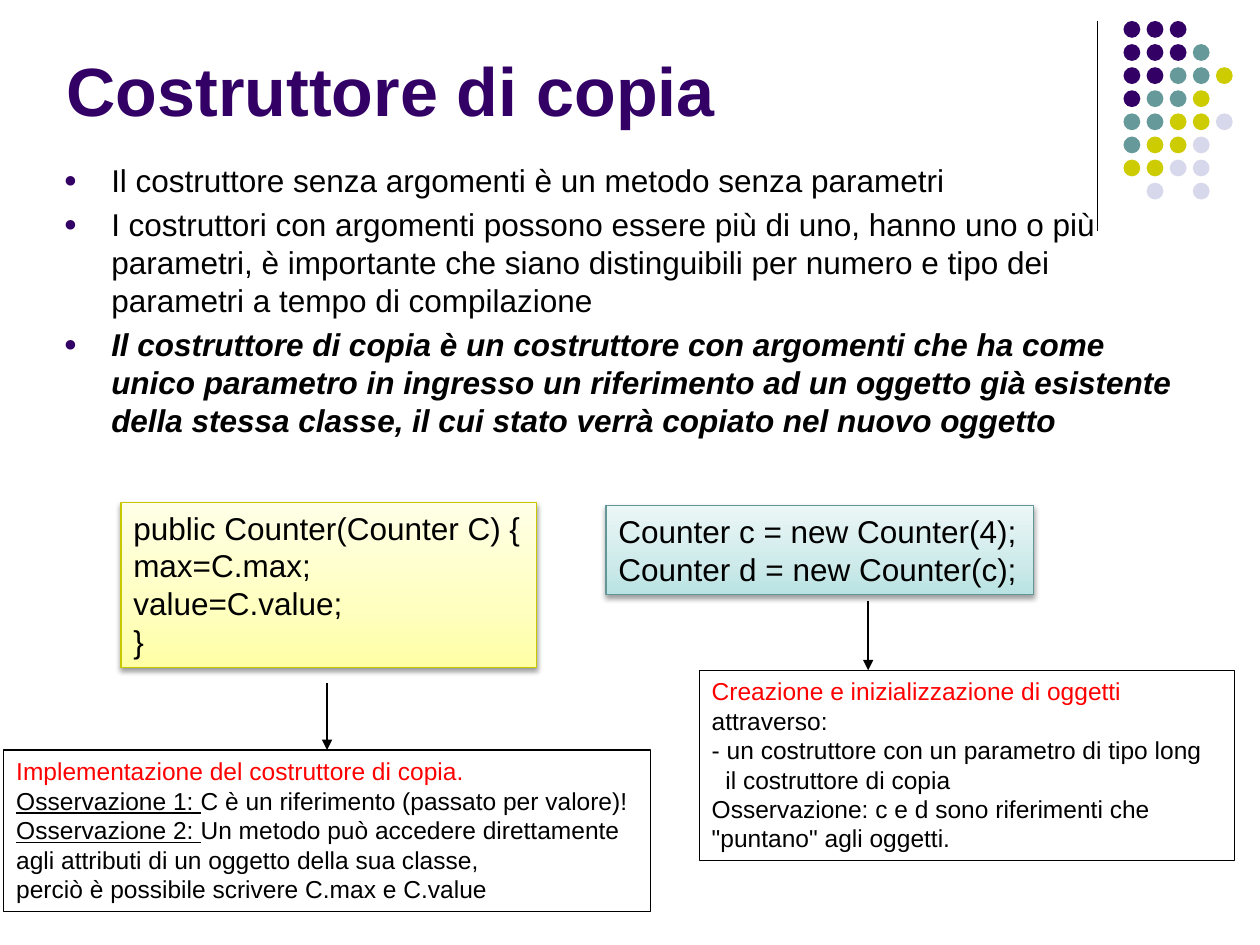
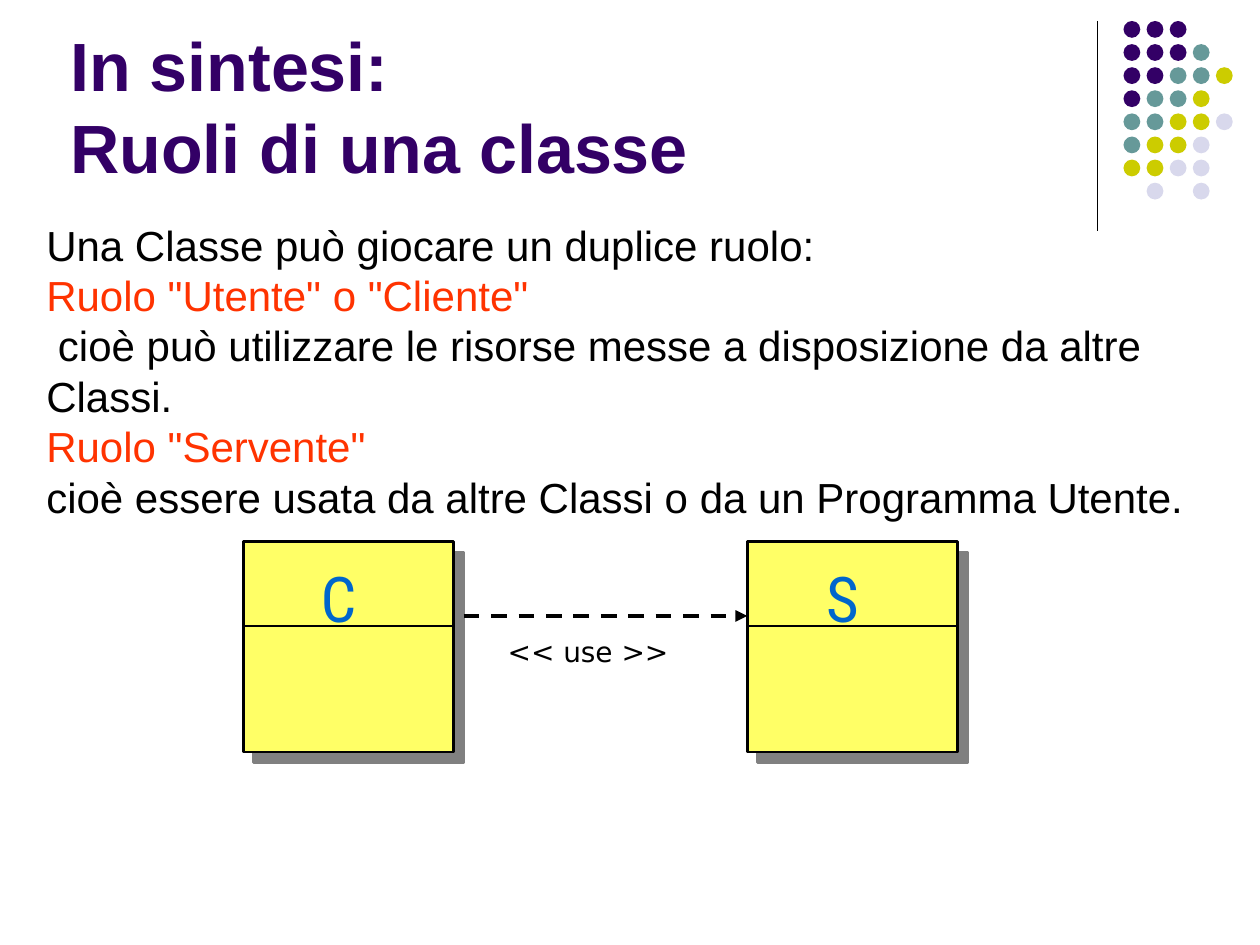
from lxml import etree
from pptx import Presentation
from pptx.dml.color import RGBColor
from pptx.enum.dml import MSO_LINE
from pptx.enum.shapes import MSO_CONNECTOR, MSO_SHAPE
from pptx.enum.text import MSO_ANCHOR, MSO_AUTO_SIZE, PP_ALIGN
from pptx.oxml.ns import qn
from pptx.util import Pt

RECTANGLE, OVAL = MSO_SHAPE.RECTANGLE, MSO_SHAPE.OVAL
STRAIGHT = MSO_CONNECTOR.STRAIGHT
DASH = MSO_LINE.DASH
TOP, BOTTOM = MSO_ANCHOR.TOP, MSO_ANCHOR.BOTTOM
LEFT, CENTER = PP_ALIGN.LEFT, PP_ALIGN.CENTER
GROW, FIXED = MSO_AUTO_SIZE.SHAPE_TO_FIT_TEXT, MSO_AUTO_SIZE.NONE

BLACK = RGBColor(0x00, 0x00, 0x00)
PURPLE = RGBColor(0x33, 0x00, 0x66)
TEAL = RGBColor(0x66, 0x99, 0x99)
OLIVE = RGBColor(0xCC, 0xCC, 0x00)
LILAC = RGBColor(0xD8, 0xD8, 0xEC)
RED = RGBColor(0xFF, 0x00, 0x00)
ORANGE = RGBColor(0xFF, 0x33, 0x00)
CLASS_YELLOW = RGBColor(0xFF, 0xFF, 0x66)
LETTER_BLUE = RGBColor(0x00, 0x66, 0xCC)
GRAY = RGBColor(0x80, 0x80, 0x80)
YELLOW_EDGE = RGBColor(0xC8, 0xC8, 0x00)
TEAL_EDGE = RGBColor(0x63, 0x97, 0x97)
YELLOW_STOPS = [(0, RGBColor(0xFF, 0xFF, 0xA5)), (35, RGBColor(0xFF, 0xFF, 0xBF)),
                (100, RGBColor(0xFF, 0xFF, 0xE7))]
TEAL_STOPS = [(0, RGBColor(0xB9, 0xE2, 0xE2)), (35, RGBColor(0xCE, 0xEA, 0xEA)),
              (100, RGBColor(0xEC, 0xF7, 0xF7))]

DOT_COLORS = {"P": PURPLE, "T": TEAL, "O": OLIVE, "L": LILAC}
DOT_ROWS = ["PPP", "PPPT", "PPTTO", "PTTO", "TTOOL", "TOOL", "OOLL", " L L"]
DOT_LEFT, DOT_TOP, DOT_PITCH, DOT_SIZE = 642, 12, 13.2, 9.6


def add_xml(parent, tag, **attributes):
    values = {name: str(value) for name, value in attributes.items()}
    return etree.SubElement(parent, qn(tag), values)


def add_shadow(shape, color, opacity, blur, distance, angle):
    effects = shape.element.spPr.find(qn("a:effectLst"))
    outer = add_xml(effects, "a:outerShdw", blurRad=Pt(blur), dist=Pt(distance),
                    dir=angle * 60000, algn="tl", rotWithShape=0)
    add_xml(add_xml(outer, "a:srgbClr", val=color), "a:alpha", val=opacity * 1000)


def fill_gradient(shape, stops):
    """Fill upwards from the first stop, at the bottom edge."""
    shape.fill.gradient()
    shape.fill.gradient_angle = 90
    stop_list = shape.element.spPr.find(qn("a:gradFill")).find(qn("a:gsLst"))
    for stop in list(stop_list):
        stop_list.remove(stop)
    for position, color in stops:
        stop = add_xml(stop_list, "a:gs", pos=position * 1000)
        add_xml(stop, "a:srgbClr", val=color)


def add_box(shapes, bounds, preset=RECTANGLE, fill=None, edge=None, weight=0.75):
    box = shapes.add_shape(preset, *map(Pt, bounds))
    box.shadow.inherit = False
    if fill is None:
        box.fill.background()
    else:
        box.fill.solid()
        box.fill.fore_color.rgb = fill
    if edge is None:
        box.line.fill.background()
    else:
        box.line.color.rgb = edge
        box.line.width = Pt(weight)
    return box


def add_line(shapes, start, end, weight=0.75, dash=None, arrow=False):
    line = shapes.add_connector(STRAIGHT, *map(Pt, start + end))
    line.line.color.rgb = BLACK
    line.line.width = Pt(weight)
    if dash:
        line.line.dash_style = dash
    properties = line.element.spPr
    if arrow:
        add_xml(properties.find(qn("a:ln")), "a:tailEnd", type="triangle")
    add_xml(properties, "a:effectLst")
    return line


def add_bullet(paragraph):
    properties = paragraph._p.get_or_add_pPr()
    properties.set("marL", str(Pt(27)))
    properties.set("indent", str(Pt(-27)))
    add_xml(add_xml(properties, "a:buClr"), "a:srgbClr", val=PURPLE)
    add_xml(properties, "a:buSzPct", val=70000)
    add_xml(properties, "a:buFont", typeface="Arial")
    add_xml(properties, "a:buChar", char="●")


def write_runs(paragraph, runs, base):
    """Write (text, format changes) pairs; a vertical tab breaks the line."""
    for text, changes in runs:
        for index, line in enumerate(text.split("\v")):
            if index:
                paragraph.add_line_break()
            run = paragraph.add_run()
            run.text = line
            formats = {**base, **changes}
            run.font.color.rgb = formats.pop("color")
            for name, value in formats.items():
                setattr(run.font, name, value)


def write_text(shape, paragraphs, size, color=BLACK, font="Arial", bold=False, align=LEFT,
               anchor=TOP, wrap=True, fit=FIXED, bullets=False, space=0, indents=None):
    """Write one paragraph per list of runs; indents maps an index to (left, first line)."""
    frame = shape.text_frame
    frame.word_wrap = wrap
    frame.auto_size = fit
    frame.vertical_anchor = anchor
    base = {"size": Pt(size), "name": font, "bold": bold, "color": color}
    for index, runs in enumerate(paragraphs):
        paragraph = frame.paragraphs[0] if index == 0 else frame.add_paragraph()
        if bullets:
            add_bullet(paragraph)
        if indents and index in indents:
            left, first = indents[index]
            properties = paragraph._p.get_or_add_pPr()
            properties.set("marL", str(Pt(left)))
            properties.set("indent", str(Pt(first)))
        paragraph.alignment = align
        if index and space:
            paragraph.space_before = Pt(space)
        write_runs(paragraph, runs, base)


def add_text(shapes, bounds, paragraphs, size, **options):
    write_text(shapes.add_textbox(*map(Pt, bounds)), paragraphs, size, **options)


def plain(*lines):
    return [[(line, {})] for line in lines]


def add_code(shapes, bounds, stops, edge, lines):
    code = add_box(shapes, bounds, edge=edge)
    fill_gradient(code, stops)
    add_shadow(code, BLACK, 38, 3.1, 1.6, 90)
    write_text(code, plain(*lines), 18, wrap=False, fit=GROW)


def add_note(shapes, bounds, paragraphs, **options):
    note = add_box(shapes, bounds, edge=BLACK)
    write_text(note, paragraphs, 14, fit=GROW, **options)
    return note


def add_class(shapes, left, letter):
    """Draw a class symbol: a box with a shadow, a divider and a letter."""
    top, side = 309.6, 120.2
    parts = shapes.add_group_shape().shapes
    body = add_box(parts, (left, top, side, side), fill=CLASS_YELLOW, edge=BLACK, weight=1.5)
    add_shadow(body, GRAY, 100, 0, 8.5, 45)
    divider = top + 48.1
    add_line(parts, (left, divider), (left + side, divider))
    add_text(parts, (left + 42.5, top + 6.5, 23.8, 36), plain(letter), 36,
             color=LETTER_BLUE, font="Roboto Condensed", align=CENTER, wrap=False)


def add_slide(presentation, title, title_bounds):
    """Add a slide with the corner decoration and a title."""
    shapes = presentation.slides.add_slide(presentation.slide_layouts[6]).shapes
    add_line(shapes, (627.1, 12), (627.1, 132))
    dots = shapes.add_group_shape().shapes
    for row, keys in enumerate(DOT_ROWS):
        for column, key in enumerate(keys):
            if key in DOT_COLORS:
                place = (DOT_LEFT + column * DOT_PITCH, DOT_TOP + row * DOT_PITCH)
                add_box(dots, place + (DOT_SIZE, DOT_SIZE), OVAL, DOT_COLORS[key])
    add_text(shapes, title_bounds, plain(title), 39, color=PURPLE, bold=True, anchor=BOTTOM)
    return shapes


def build_copy_constructor(presentation):
    shapes = add_slide(presentation, "Costruttore di copia", (31, -24.5, 594, 102.2))
    add_text(shapes, (29.5, 88.6, 648, 347), [
        [("Il costruttore senza argomenti è un metodo senza parametri", {})],
        [("I costruttori con argomenti possono essere più di uno, hanno uno o più "
          "parametri, è importante che siano distinguibili per numero e tipo dei "
          "parametri a tempo di compilazione", {})],
        [("Il costruttore di copia è un costruttore con argomenti che ha come unico "
          "parametro in ingresso un riferimento ad un oggetto già esistente della stessa "
          "classe, il cui stato verrà copiato nel nuovo oggetto",
          {"bold": True, "italic": True})],
    ], 18, bullets=True, space=3.6)

    add_code(shapes, (69.1, 287.1, 237.6, 94.5), YELLOW_STOPS, YELLOW_EDGE,
             ["public Counter(Counter C) {", "max=C.max;", "value=C.value;", "}"])
    add_code(shapes, (346.3, 288.9, 244.1, 51), TEAL_STOPS, TEAL_EDGE,
             ["Counter c = new Counter(4);", "Counter d = new Counter(c);"])

    red, underlined = {"color": RED}, {"underline": True}
    add_line(shapes, (496.1, 343.4), (496.1, 383), 1, arrow=True)
    note_left, note_top, note_width = 2.2, 428.6, 369.4
    note_middle = note_left + note_width / 2
    arrow = add_line(shapes, (note_middle, 390.2), (note_middle, note_top), 1, arrow=True)
    implementation = add_note(shapes, (note_left, note_top, note_width, 92.2), [
        [("Implementazione del costruttore di copia.", red)],
        [("Osservazione 1: ", underlined), ("C è un riferimento (passato per valore)!", {})],
        [("Osservazione 2: ", underlined),
         ("Un metodo può accedere direttamente\vagli attributi di un oggetto della sua "
          "classe,", {})],
        [("perciò è possibile scrivere C.max e C.value", {})],
    ])
    arrow.end_connect(implementation, 0)
    add_note(shapes, (399.6, 383, 306, 108.9), [
        [("Creazione e inizializzazione di oggetti ", red), ("attraverso:", {})],
        *plain("- un costruttore con un parametro di tipo long",
               "il costruttore di copia",
               "Osservazione: c e d sono riferimenti che \"puntano\" agli oggetti."),
    ], indents={2: (7.8, 0)})


def build_class_roles(presentation):
    shapes = add_slide(presentation, "In sintesi:\vRuoli di una classe", (33.1, 20.2, 636, 90))
    role = {"color": ORANGE}
    add_text(shapes, (19.4, 121.7, 686.2, 181.4), [
        [("Una Classe può giocare un duplice ruolo:", {})],
        [("Ruolo \"Utente\" o \"Cliente\"", role)],
        [("cioè può utilizzare le risorse messe a disposizione da altre Classi.", {})],
        [("Ruolo \"Servente\"", role)],
        [("cioè essere usata da altre Classi o da un Programma Utente.", {})],
    ], 24, fit=GROW, indents={2: (0, 6.7)})
    client_left, server_left = 139, 427
    add_class(shapes, client_left, "C")
    add_class(shapes, server_left, "S")
    add_line(shapes, (265, 352), (server_left, 352), 2.25, DASH, arrow=True)
    add_text(shapes, (283, 359.3, 106.6, 26.6), plain("<< use >>"), 16,
             font="DejaVu Sans", wrap=False, fit=GROW)


def main():
    presentation = Presentation()
    presentation.slide_width, presentation.slide_height = Pt(720), Pt(540)
    build_copy_constructor(presentation)
    build_class_roles(presentation)
    presentation.save("out.pptx")


if __name__ == "__main__":
    main()
